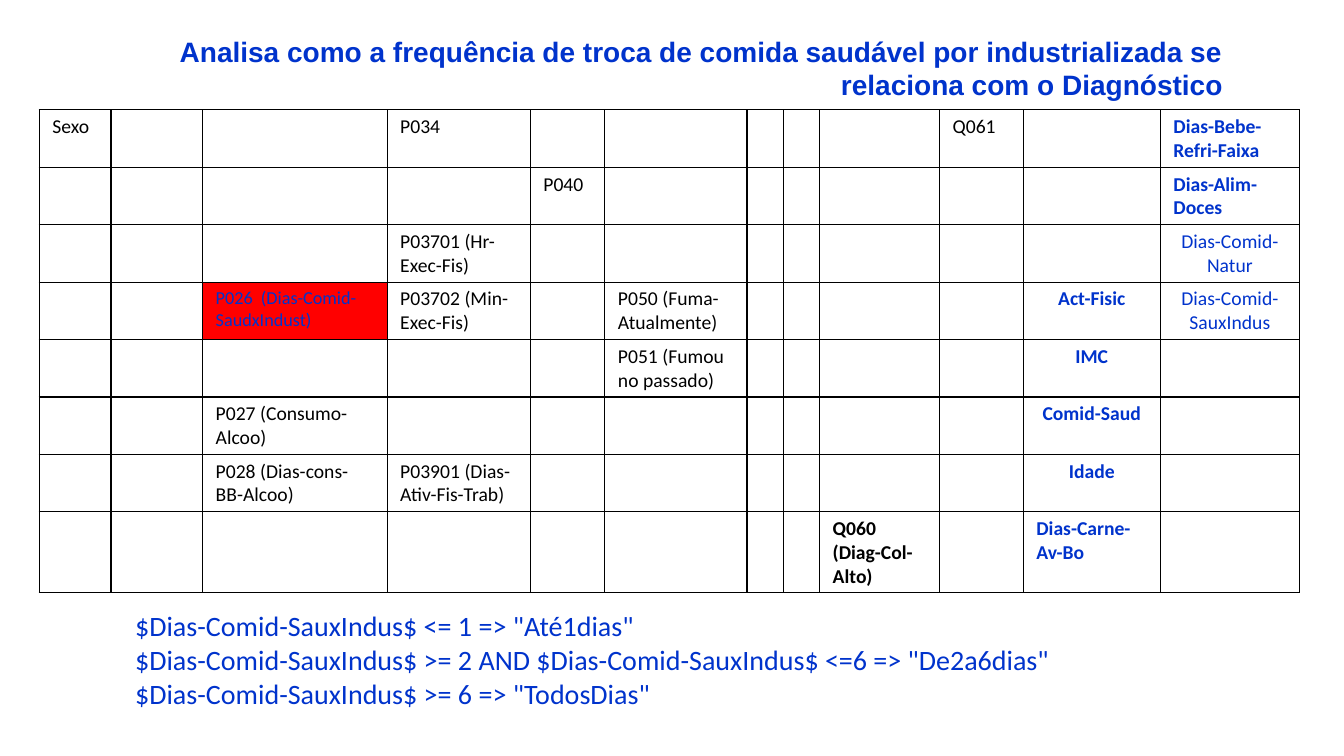
from lxml import etree
from pptx import Presentation
from pptx.dml.color import RGBColor
from pptx.enum import text
from pptx.oxml import ns
from pptx.util import Pt

BLUE = RGBColor(0x00, 0x33, 0xCC)
BLACK = RGBColor(0x00, 0x00, 0x00)
WHITE = RGBColor(0xFF, 0xFF, 0xFF)
RED = RGBColor(0xFF, 0x00, 0x00)
EMU_PER_PX = 9144  # 100 px to the inch
LEFT, CENTER, RIGHT = text.PP_ALIGN.LEFT, text.PP_ALIGN.CENTER, text.PP_ALIGN.RIGHT


def px(n):
    return n * EMU_PER_PX


class SlideBuilder:
    title_font, body_font = "Arial", "Calibri"

    def __init__(self, prs):
        self.slide = prs.slides.add_slide(prs.slide_layouts[1])

    def format(self, p, font, size, color, bold=False, align=LEFT):
        p.alignment = align
        for r in p.runs:
            r.font.name, r.font.size, r.font.bold = font, Pt(size), bold
            r.font.color.rgb = color

    def place(self, sp, box):
        sp.left, sp.top, sp.width, sp.height = map(px, box)
        tf = sp.text_frame
        tf.word_wrap = True
        tf.auto_size = text.MSO_AUTO_SIZE.SHAPE_TO_FIT_TEXT
        tf.vertical_anchor = text.MSO_ANCHOR.TOP
        return tf

    def title(self, content, box):
        tf = self.place(self.slide.shapes.title, box)
        tf.text = content
        self.format(tf.paragraphs[0], self.title_font, 20, BLUE, True, RIGHT)

    def body(self, lines, box):
        tf = self.place(self.slide.placeholders[1], box)
        tf.text = "\n".join(lines)
        for p in tf.paragraphs:
            pPr = p._p.get_or_add_pPr()
            pPr.set("marL", "0")
            pPr.set("indent", "0")
            etree.SubElement(pPr, ns.qn("a:buNone"))
            p.space_before = Pt(0)
            self.format(p, self.body_font, 20, BLUE)

    def border(self, cell):
        tcPr = cell._tc.get_or_add_tcPr()
        for i, side in enumerate(("lnL", "lnR", "lnT", "lnB")):
            ln = etree.Element(ns.qn("a:" + side), w=str(Pt(1)))
            fill = etree.SubElement(ln, ns.qn("a:solidFill"))
            etree.SubElement(fill, ns.qn("a:srgbClr"), val=str(BLACK))
            tcPr.insert(i, ln)

    def table(self, left, top, widths, heights, entries):
        frame = self.slide.shapes.add_table(
            len(heights), len(widths), px(left), px(top), px(sum(widths)), px(sum(heights)))
        table = frame.table
        table.first_row = table.horz_banding = False
        for column, width in zip(table.columns, widths):
            column.width = px(width)
        for row, height in zip(table.rows, heights):
            row.height = px(height)
        for cell in table.iter_cells():
            cell.fill.solid()
            cell.fill.fore_color.rgb = WHITE
            self.border(cell)
        for (row, col), (content, style) in entries.items():
            cell = table.cell(row, col)
            cell.margin_left = cell.margin_right = px(13)
            cell.margin_top = cell.margin_bottom = px(5)
            cell.text = content
            self.format(cell.text_frame.paragraphs[0], self.body_font, **style)
        return table


# Cell styles
PLAIN = dict(size=14, color=BLACK)
STRONG = dict(PLAIN, bold=True)
DERIVED = dict(size=14, color=BLUE, bold=True)
DERIVED_MID = dict(DERIVED, align=CENTER)
FOOD = dict(size=14, color=BLUE, align=CENTER)
KEY = dict(size=13, color=BLUE)

# Table content by (row, column)
VARIABLES = {
    (0, 0): ("Sexo", PLAIN),
    (0, 3): ("P034", PLAIN),
    (0, 9): ("Q061", PLAIN),
    (0, 11): ("Dias-Bebe-Refri-Faixa", DERIVED),
    (1, 4): ("P040", PLAIN),
    (1, 11): ("Dias-Alim-Doces", DERIVED),
    (2, 3): ("P03701 (Hr-Exec-Fis)", PLAIN),
    (2, 11): ("Dias-Comid-Natur", FOOD),
    (3, 2): ("P026  (Dias-Comid-SaudxIndust)", KEY),
    (3, 3): ("P03702 (Min-Exec-Fis)", PLAIN),
    (3, 5): ("P050 (Fuma-Atualmente)", PLAIN),
    (3, 10): ("Act-Fisic", DERIVED_MID),
    (3, 11): ("Dias-Comid-SauxIndus", FOOD),
    (4, 5): ("P051 (Fumou no passado)", PLAIN),
    (4, 10): ("IMC", DERIVED_MID),
    (5, 2): ("P027 (Consumo-Alcoo)", PLAIN),
    (5, 10): ("Comid-Saud", DERIVED_MID),
    (6, 2): ("P028 (Dias-cons-BB-Alcoo)", PLAIN),
    (6, 3): ("P03901 (Dias-Ativ-Fis-Trab)", PLAIN),
    (6, 10): ("Idade", DERIVED_MID),
    (7, 8): ("Q060 (Diag-Col-Alto)", STRONG),
    (7, 10): ("Dias-Carne-Av-Bo", DERIVED),
}
COLUMN_WIDTHS = [71, 91, 183, 142, 74, 141, 36, 36, 119, 83, 136, 138]
ROW_HEIGHTS = [57] * 7 + [80]
RULES = [
    '$Dias-Comid-SauxIndus$ <= 1 => "Até1dias"',
    '$Dias-Comid-SauxIndus$ >= 2 AND $Dias-Comid-SauxIndus$ <=6 => "De2a6dias"',
    '$Dias-Comid-SauxIndus$ >= 6 => "TodosDias"',
]


def main():
    prs = Presentation()
    prs.slide_width, prs.slide_height = px(1333), px(750)
    builder = SlideBuilder(prs)

    # Heading
    builder.title("Analisa como a frequência de troca de comida saudável por "
                  "industrializada se relaciona com o Diagnóstico", (68, 29, 1155, 77))

    # Variables, with the analysed one in red
    table = builder.table(39, 109, COLUMN_WIDTHS, ROW_HEIGHTS, VARIABLES)
    table.cell(3, 2).fill.fore_color.rgb = RED

    # Classification rules
    builder.body(RULES, (124, 599, 1008, 111))

    prs.save("out.pptx")


if __name__ == "__main__":
    main()
